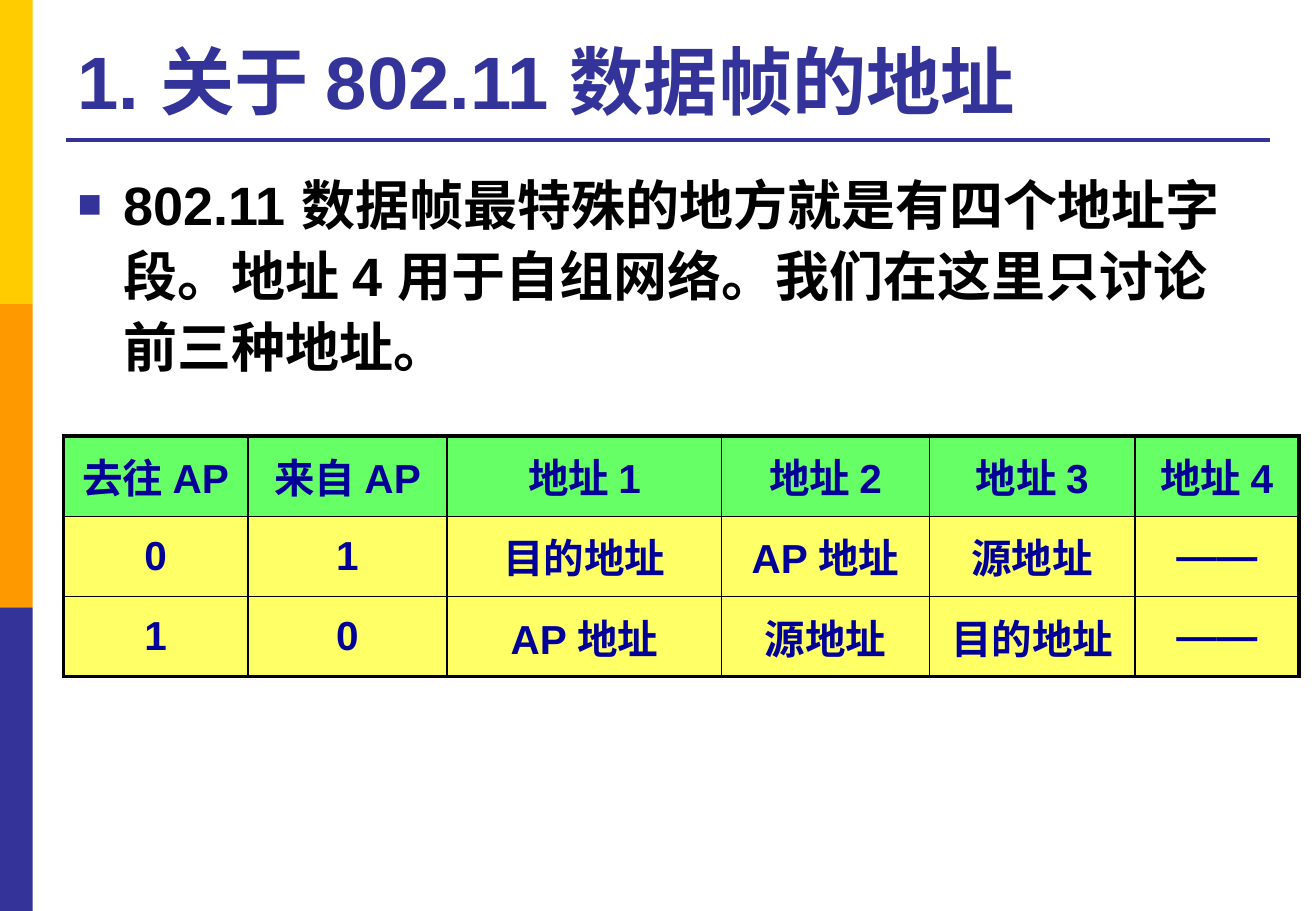
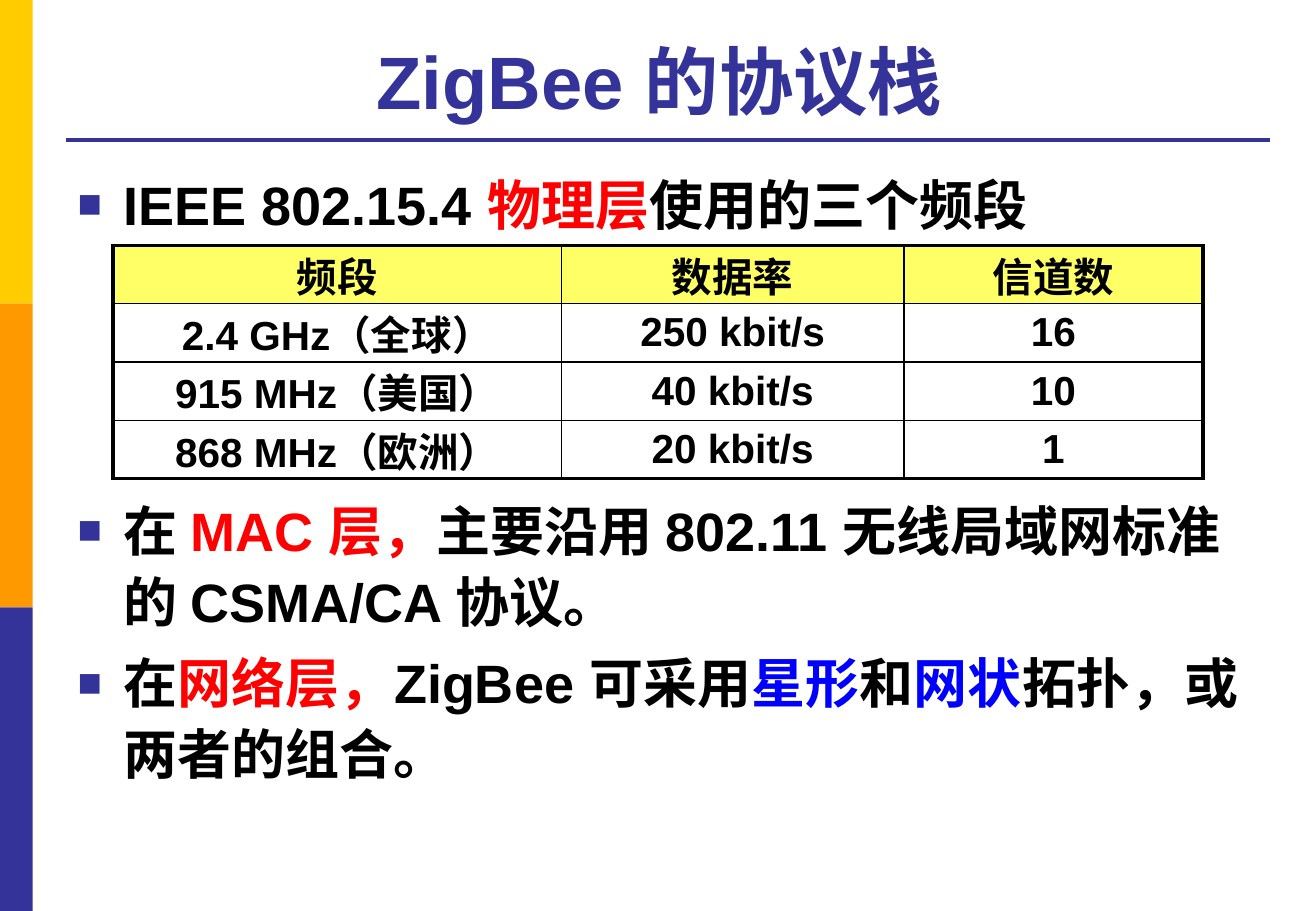
import pptx
import pptx.util
import pptx.oxml
import pptx.oxml.ns
import pptx.dml.color
import pptx.enum.shapes
import pptx.enum.text
import lxml.etree

RGBColor = pptx.dml.color.RGBColor
ALIGN = pptx.enum.text.PP_ALIGN
ANCHOR = pptx.enum.text.MSO_ANCHOR

# Lengths are in px, 100 to the inch
SCALE = 9144
SLIDE_WIDTH, SLIDE_HEIGHT = 1083, 750
CONTENT_LEFT, CONTENT_WIDTH = 54, 991

FONT = "Arial"
WHITE = RGBColor(0xFF, 0xFF, 0xFF)
BLACK = RGBColor(0x00, 0x00, 0x00)
INDIGO = RGBColor(0x33, 0x33, 0x99)
NAVY = RGBColor(0x00, 0x00, 0x99)
GOLD = RGBColor(0xFF, 0xCC, 0x00)
ORANGE = RGBColor(0xFF, 0x99, 0x00)
RED = RGBColor(0xFF, 0x00, 0x00)
BLUE = RGBColor(0x00, 0x00, 0xFF)
GREEN = RGBColor(0x66, 0xFF, 0x66)
YELLOW = RGBColor(0xFF, 0xFF, 0x66)

OUTER_BORDER, INNER_BORDER = 2.25, 1


def px(length):
    return pptx.util.Emu(length * SCALE)


def add_element(parent, tag, **attributes):
    element = lxml.etree.SubElement(parent, pptx.oxml.ns.qn(tag))
    for name, value in attributes.items():
        element.set(name, str(value))
    return element


def add_run(paragraph, text, size, color):
    run = paragraph.add_run()
    run.text = text
    run.font.name = FONT
    run.font.size = pptx.util.Pt(size)
    run.font.bold = True
    run.font.color.rgb = color


def add_text_frame(slide, top, height, anchor):
    box = slide.shapes.add_textbox(px(CONTENT_LEFT), px(top), px(CONTENT_WIDTH), px(height))
    box.text_frame.word_wrap = True
    box.text_frame.vertical_anchor = anchor
    return box.text_frame


def add_titled_slide(presentation, title, alignment=ALIGN.LEFT):
    slide = presentation.slides.add_slide(presentation.slide_layouts[6])

    # Colour bands down the left edge
    bands = (GOLD, ORANGE, INDIGO)
    band_height = SLIDE_HEIGHT // len(bands)
    for index, color in enumerate(bands):
        band = slide.shapes.add_shape(
            pptx.enum.shapes.MSO_SHAPE.RECTANGLE,
            px(0), px(index * band_height), px(27), px(band_height))
        band.shadow.inherit = False
        band.fill.solid()
        band.fill.fore_color.rgb = color
        band.line.fill.background()

    # Rule under the title
    rule = slide.shapes.add_connector(
        pptx.enum.shapes.MSO_CONNECTOR.STRAIGHT,
        px(CONTENT_LEFT), px(115), px(CONTENT_LEFT + CONTENT_WIDTH), px(115))
    rule.line.color.rgb = INDIGO
    rule.line.width = pptx.util.Pt(2.25)
    add_element(rule.element.spPr, "a:effectLst")

    # Title
    paragraph = add_text_frame(slide, 20, 87, ANCHOR.BOTTOM).paragraphs[0]
    paragraph.alignment = alignment
    add_run(paragraph, title, 44, INDIGO)
    return slide


def add_bullets(slide, top, height, bullets):
    """Each bullet is a list of (text, color) runs."""
    frame = add_text_frame(slide, top, height, ANCHOR.TOP)
    for index, runs in enumerate(bullets):
        paragraph = frame.add_paragraph() if index else frame.paragraphs[0]
        paragraph.line_spacing = 1.1
        paragraph.space_before = pptx.util.Pt(6)
        properties = paragraph._p.get_or_add_pPr()
        properties.set("marL", str(px(38)))
        properties.set("indent", str(px(-38)))
        add_element(add_element(properties, "a:buClr"), "a:srgbClr", val=INDIGO)
        add_element(properties, "a:buSzPct", val=75000)
        add_element(properties, "a:buFont", typeface=FONT)
        add_element(properties, "a:buChar", char="■")
        for text, color in runs:
            add_run(paragraph, text, 32, color)


def set_borders(cell, outer_sides):
    properties = cell._tc.get_or_add_tcPr()
    for side, is_outer in outer_sides.items():
        width = pptx.util.Pt(OUTER_BORDER if is_outer else INNER_BORDER)
        line = add_element(properties, "a:ln" + side, w=int(width))
        add_element(add_element(line, "a:solidFill"), "a:srgbClr", val=BLACK)


def add_grid(slide, left, top, column_widths, row_height, rows,
             header_fill, body_fill, text_color, margins):
    row_count, column_count = len(rows), len(column_widths)
    table = slide.shapes.add_table(
        row_count, column_count, px(left), px(top),
        px(sum(column_widths)), px(row_height * row_count)).table
    table.first_row = table.horz_banding = False
    for column, width in zip(table.columns, column_widths):
        column.width = px(width)
    for row_index, texts in enumerate(rows):
        table.rows[row_index].height = px(row_height)
        for column_index, text in enumerate(texts):
            cell = table.cell(row_index, column_index)
            set_borders(cell, {
                "L": column_index == 0,
                "R": column_index == column_count - 1,
                "T": row_index == 0,
                "B": row_index == row_count - 1,
            })
            cell.fill.solid()
            cell.fill.fore_color.rgb = body_fill if row_index else header_fill
            cell.vertical_anchor = ANCHOR.MIDDLE
            cell.margin_left = cell.margin_right = px(margins[0])
            cell.margin_top = cell.margin_bottom = px(margins[1])
            paragraph = cell.text_frame.paragraphs[0]
            paragraph.alignment = ALIGN.CENTER
            add_run(paragraph, text, 24, text_color)


def build_address_slide(presentation):
    slide = add_titled_slide(presentation, "1. 关于 802.11 数据帧的地址")
    add_bullets(slide, 131, 210, [
        [("802.11 数据帧最特殊的地方就是有四个地址字段。"
          "地址 4 用于自组网络。我们在这里只讨论前三种地址。", BLACK)],
    ])
    add_grid(slide, 52, 359, (152, 164, 226, 171, 169, 135), 66, [
        ("去往 AP", "来自 AP", "地址 1", "地址 2", "地址 3", "地址 4"),
        ("0", "1", "目的地址", "AP 地址", "源地址", "——"),
        ("1", "0", "AP 地址", "源地址", "目的地址", "——"),
    ], GREEN, YELLOW, NAVY, (8, 5))


def build_zigbee_slide(presentation):
    slide = add_titled_slide(presentation, "ZigBee 的协议栈 ", ALIGN.CENTER)
    add_bullets(slide, 131, 70, [
        [("IEEE 802.15.4 ", BLACK), ("物理层", RED), ("使用的三个频段", BLACK)],
    ])
    add_bullets(slide, 399, 272, [
        [("在 ", BLACK), ("MAC 层，", RED),
         ("主要沿用 802.11 无线局域网标准的 CSMA/CA 协议。", BLACK)],
        [("在", BLACK), ("网络层，", RED), ("ZigBee 可采用", BLACK), ("星形", BLUE),
         ("和", BLACK), ("网状", BLUE), ("拓扑，或两者的组合。", BLACK)],
    ])
    add_grid(slide, 93, 202, (369, 282, 246), 48, [
        ("频段", "数据率", "信道数"),
        ("2.4 GHz（全球）", "250 kbit/s", "16"),
        ("915 MHz（美国）", "40 kbit/s", "10"),
        ("868 MHz（欧洲）", "20 kbit/s", "1"),
    ], YELLOW, WHITE, BLACK, (7, 0))


def main():
    presentation = pptx.Presentation()
    presentation.slide_width = px(SLIDE_WIDTH)
    presentation.slide_height = px(SLIDE_HEIGHT)
    build_address_slide(presentation)
    build_zigbee_slide(presentation)
    presentation.save("out.pptx")


if __name__ == "__main__":
    main()
